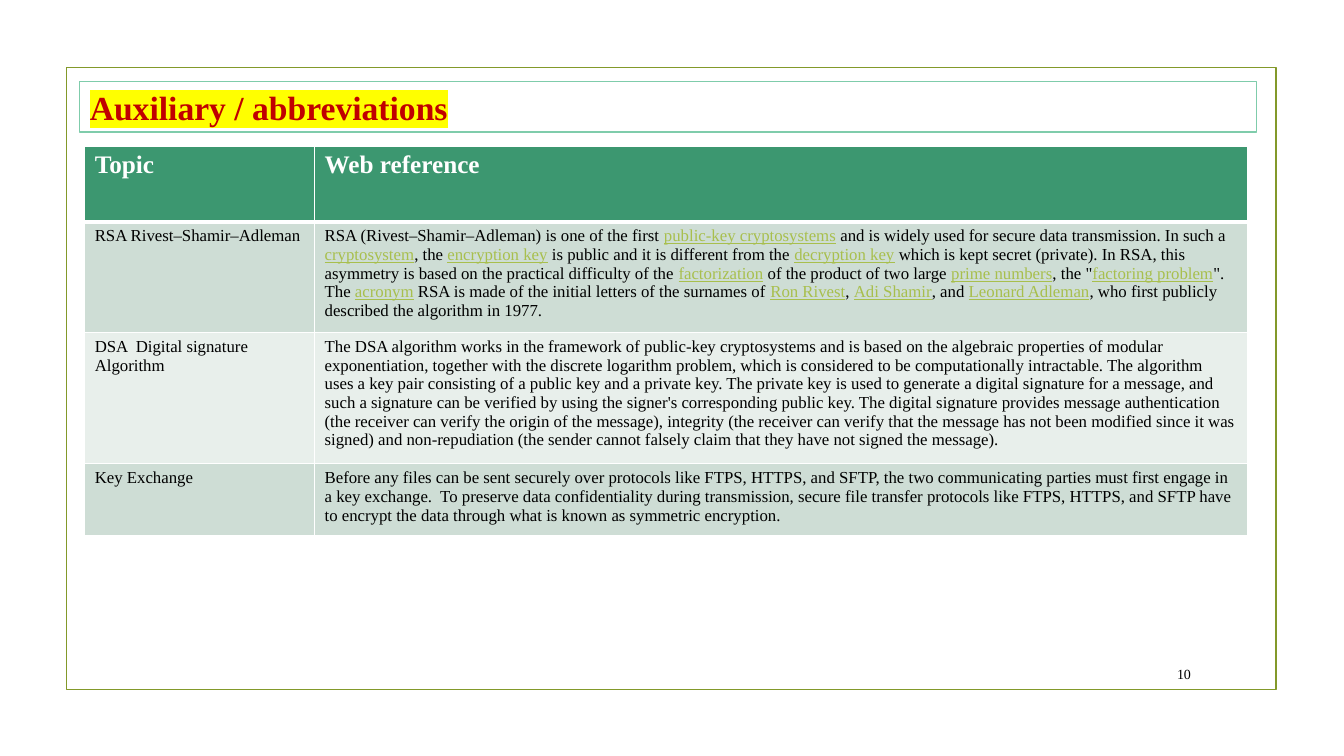
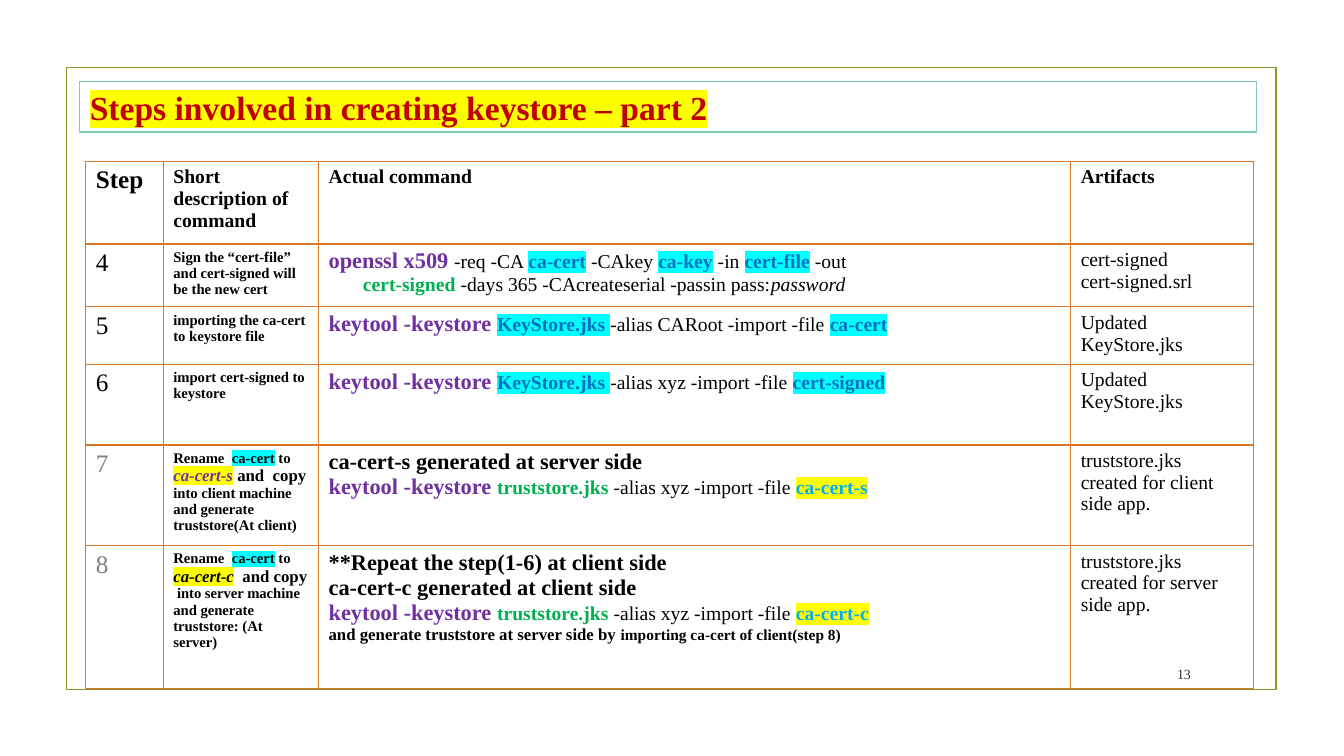
from lxml.etree import SubElement
from pptx import Presentation
from pptx.dml.color import RGBColor as RGB
from pptx.enum.shapes import MSO_SHAPE as Preset
from pptx.enum.text import MSO_ANCHOR as Anchor, MSO_AUTO_SIZE as AutoSize, PP_ALIGN as Align
from pptx.oxml.ns import qn
from pptx.util import Inches, Pt

FONT = "Times New Roman"
COLORS = {
    "black": "000000", "white": "FFFFFF", "frame": "83992A", "title_line": "7FCCAB",
    "red": "C00000", "yellow": "FFFF00", "cyan": "00FFFF", "header": "3C9770",
    "band_dark": "CEDDD5", "band_light": "E8EFEB", "link": "A8BF4D", "orange": "D97828",
    "purple": "7030A0", "blue": "0070C0", "sky": "00B0F0", "green": "00B050", "gray": "808080",
}
STYLES = {
    "title": {"size": 24, "bold": True, "color": "red", "highlight": "yellow"},
    "page": {"size": 10},
    "topic_head": {"size": 18, "bold": True, "color": "white"},
    "body": {"size": 12},
    "link": {"size": 12, "underline": True, "color": "link"},
    "step_head": {"size": 18, "bold": True},
    "head": {"size": 14, "bold": True},
    "step": {"size": 18},
    "gray_step": {"size": 18, "color": "gray"},
    "short": {"size": 10.5, "bold": True},
    "short_file": {"size": 10.5, "bold": True, "highlight": "cyan"},
    "server_cert": {"size": 12, "bold": True, "italic": True, "color": "purple", "highlight": "yellow"},
    "client_cert": {"size": 12, "bold": True, "italic": True, "highlight": "yellow"},
    "strong": {"size": 12, "bold": True},
    "small_strong": {"size": 11, "bold": True},
    "tool": {"size": 16, "bold": True, "color": "purple"},
    "note": {"size": 16, "bold": True},
    "option": {"size": 14},
    "value": {"size": 14, "italic": True},
    "file": {"size": 14, "bold": True, "color": "blue", "highlight": "cyan"},
    "output": {"size": 14, "bold": True, "color": "green"},
    "renamed": {"size": 14, "bold": True, "color": "sky", "highlight": "yellow"},
}

RSA = (
    "RSA (Rivest–Shamir–Adleman) is one of the first |public-key cryptosystems| and is widely used "
    "for secure data transmission. In such a |cryptosystem|, the |encryption key| is public and it is "
    "different from the |decryption key| which is kept secret (private). In RSA, this asymmetry is based "
    "on the practical difficulty of the |factorization| of the product of two large |prime numbers|, "
    "the \"|factoring problem|\". The |acronym| RSA is made of the initial letters of the surnames of "
    "|Ron Rivest|, |Adi Shamir|, and |Leonard Adleman|, who first publicly described the algorithm in 1977."
)
DSA = (
    "The DSA algorithm works in the framework of public-key cryptosystems and is based on the algebraic "
    "properties of modular exponentiation, together with the discrete logarithm problem, which is "
    "considered to be computationally intractable. The algorithm uses a key pair consisting of a public "
    "key and a private key. The private key is used to generate a digital signature for a message, and "
    "such a signature can be verified by using the signer's corresponding public key. The digital "
    "signature provides message authentication (the receiver can verify the origin of the message), "
    "integrity (the receiver can verify that the message has not been modified since it was signed) and "
    "non-repudiation (the sender cannot falsely claim that they have not signed the message)."
)
KEY_EXCHANGE = (
    "Before any files can be sent securely over protocols like FTPS, HTTPS, and SFTP, the two "
    "communicating parties must first engage in a key exchange.  To preserve data confidentiality during "
    "transmission, secure file transfer protocols like FTPS, HTTPS, and SFTP have to encrypt the data "
    "through what is known as symmetric encryption."
)


def one(text, style):
    """Return cell content of a single paragraph in a single style."""
    return [[(text, style)]]


def linked(text):
    """Return cell content in which every second part between bars is a link."""
    return [[(part, "link" if index % 2 else "body") for index, part in enumerate(text.split("|"))]]


def keytool(store, store_style, alias, file, file_style):
    """Return the runs of one keytool import command."""
    return [("keytool -keystore ", "tool"), (store + " ", store_style),
            (f"-alias {alias} -import -file ", "option"), (file, file_style)]


TOPICS = [
    [one("Topic", "topic_head"), one("Web reference", "topic_head")],
    [one("RSA Rivest–Shamir–Adleman", "body"), linked(RSA)],
    [one("DSA  Digital signature Algorithm", "body"), one(DSA, "body")],
    [one("Key Exchange", "body"), one(KEY_EXCHANGE, "body")],
]
STEPS = [
    [one("Step", "step_head"), one("Short description of command", "head"),
     one("Actual command", "head"), one("Artifacts", "head")],
    [one("4", "step"),
     one("Sign the “cert-file” and cert-signed will be the new cert", "short"),
     [[("openssl x509 ", "tool"), ("-req -CA ", "option"), ("ca-cert", "file"), (" -CAkey ", "option"),
       ("ca-key", "file"), (" -in ", "option"), ("cert-file", "file"), (" -out", "option")],
      [("cert-signed ", "output"), ("-days 365 -CAcreateserial -passin pass:", "option"),
       ("password", "value")]],
     [[("cert-signed", "option")], [("cert-signed.srl", "option")]]],
    [one("5", "step"), one("importing the ca-cert to keystore file", "short"),
     [keytool("KeyStore.jks", "file", "CARoot", "ca-cert", "file")],
     one("Updated KeyStore.jks", "option")],
    [one("6", "step"), one("import cert-signed to keystore", "short"),
     [keytool("KeyStore.jks", "file", "xyz", "cert-signed", "file")],
     one("Updated KeyStore.jks", "option")],
    [one("7", "gray_step"),
     [[("Rename  ", "short"), ("ca-cert", "short_file"), (" to ", "short"), ("ca-cert-s", "server_cert"),
       (" and  copy ", "strong"), ("into client machine and generate truststore(At client)", "short")]],
     [[("ca-cert-s generated at server side", "note")],
      keytool("truststore.jks", "output", "xyz", "ca-cert-s", "renamed")],
     one("truststore.jks  created for client side app.", "option")],
    [one("8", "gray_step"),
     [[("Rename  ", "short"), ("ca-cert", "short_file"), (" to ", "short"), ("ca-cert-c", "client_cert"),
       ("  and copy ", "strong"), (" into server machine and generate truststore: (At server)", "short")]],
     [[("**Repeat the step(1-6) at client side", "note")],
      [("ca-cert-c generated at client side", "note")],
      keytool("truststore.jks", "output", "xyz", "ca-cert-c", "renamed"),
      [("and generate truststore at server side by ", "strong"),
       ("importing ca-cert of client(step 8)", "small_strong")]],
     one("truststore.jks created for server side app.", "option")],
]


def rgb(name):
    """Return the named colour."""
    return RGB.from_string(COLORS[name])


def place(shape, box):
    """Move and size a shape to a box of left, top, width and height in inches."""
    for name, value in zip(("left", "top", "width", "height"), box):
        setattr(shape, name, Inches(value))


def add_run(paragraph, text, style):
    """Add a run of text in a named style."""
    run = paragraph.add_run()
    run.text = text
    values = {"bold": False, "name": FONT, **STYLES[style]}
    run.font.color.rgb = rgb(values.pop("color", "black"))
    highlight = values.pop("highlight", None)
    values["size"] = Pt(values["size"])
    for name, value in values.items():
        setattr(run.font, name, value)
    if highlight:
        properties = run.font._element
        mark = SubElement(properties, qn("a:highlight"))
        SubElement(mark, qn("a:srgbClr"), val=COLORS[highlight])
        properties.find(qn("a:solidFill")).addnext(mark)


def write(text_frame, content):
    """Fill a text frame with paragraphs of styled runs."""
    for index, runs in enumerate(content):
        paragraph = text_frame.add_paragraph() if index else text_frame.paragraphs[0]
        for text, style in runs:
            add_run(paragraph, text, style)


def add_frame(slide, box):
    """Draw the outline around the slide content."""
    frame = slide.shapes.add_shape(Preset.RECTANGLE, *map(Inches, box))
    frame.shadow.inherit = False
    frame.fill.background()
    frame.line.color.rgb = rgb("frame")
    frame.line.width = Pt(1.25)


def set_title(slide, text, box):
    """Place and format the title placeholder."""
    title = slide.shapes.title
    place(title, box)
    title.line.color.rgb = rgb("title_line")
    title.line.width = Pt(0.75)
    for name, value in {"word_wrap": True, "auto_size": AutoSize.NONE, "vertical_anchor": Anchor.TOP}.items():
        setattr(title.text_frame, name, value)
    write(title.text_frame, one(text, "title"))
    title.text_frame.paragraphs[0].alignment = Align.LEFT


def add_page_number(slide, number, box):
    """Write the page number at the right of its box."""
    text_frame = slide.shapes.add_textbox(*map(Inches, box)).text_frame
    text_frame.word_wrap = True
    text_frame.vertical_anchor = Anchor.MIDDLE
    write(text_frame, one(str(number), "page"))
    text_frame.paragraphs[0].alignment = Align.RIGHT


def set_borders(cell, color, widths):
    """Draw the cell borders with widths in points by side."""
    properties = cell._tc.get_or_add_tcPr()
    for side in "LRTB":
        line = SubElement(properties, qn(f"a:ln{side}"), w=str(Pt(widths.get(side, 1))))
        SubElement(SubElement(line, qn("a:solidFill")), qn("a:srgbClr"), val=COLORS[color])


def set_fill(cell, color, opacity=100):
    """Fill a cell, or leave it clear when there is no colour."""
    if color is None:
        cell.fill.background()
        return
    cell.fill.solid()
    cell.fill.fore_color.rgb = rgb(color)
    if opacity < 100:
        fill = cell._tc.tcPr.find(qn("a:solidFill"))
        SubElement(fill[0], qn("a:alpha"), val=str(opacity * 1000))


def add_grid(slide, rows, left, top, widths, heights, border, rule, fills, opacity=100):
    """Add a table whose fills are those of the header, odd rows and even rows."""
    box = (left, top, sum(widths), sum(heights))
    table = slide.shapes.add_table(len(rows), len(widths), *map(Inches, box)).table
    table.first_row = table.horz_banding = False
    for column, width in zip(table.columns, widths):
        column.width = Inches(width)
    for index, (row, height, contents) in enumerate(zip(table.rows, heights, rows)):
        row.height = Inches(height)
        fill = fills[0] if index == 0 else fills[2 - index % 2]
        sides = {0: {"B": rule}, 1: {"T": rule}}.get(index, {})
        for cell, content in zip(row.cells, contents):
            set_borders(cell, border, sides)
            set_fill(cell, fill, opacity)
            write(cell.text_frame, content)
    return table


def start_slide(presentation, title, number):
    """Add a slide with the shared frame, title and page number."""
    slide = presentation.slides.add_slide(presentation.slide_layouts[5])
    add_frame(slide, (0.66, 0.67, 12, 6.17))
    set_title(slide, title, (0.79, 0.81, 11.67, 0.5))
    add_page_number(slide, number, (11.32, 6.53, 0.59, 0.31))
    return slide


def build_topics(presentation):
    """Build the slide of topics and web references."""
    slide = start_slide(presentation, "Auxiliary / abbreviations", 10)
    add_grid(slide, TOPICS, 0.84, 1.45, (2.28, 9.25), (0.75, 1.1, 1.29, 0.71),
             "white", 3, ("header", "band_dark", "band_light"))


def build_steps(presentation):
    """Build the slide of keystore commands."""
    slide = start_slide(presentation, "Steps involved in creating keystore – part 2", 13)
    table = add_grid(slide, STEPS, 0.85, 1.6, (0.77, 1.54, 7.46, 1.81), (0.82, 0.62, 0.57, 0.8, 1, 1.42),
                     "orange", 2, (None, "white", None), 20)
    output_line = table.cell(1, 2).text_frame.paragraphs[1]
    output_line._p.get_or_add_pPr().set("marL", str(Inches(0.34)))


def main():
    """Build and save the presentation."""
    presentation = Presentation()
    presentation.slide_width = Inches(13.33)
    presentation.slide_height = Inches(7.5)
    build_topics(presentation)
    build_steps(presentation)
    presentation.save("out.pptx")


if __name__ == "__main__":
    main()
